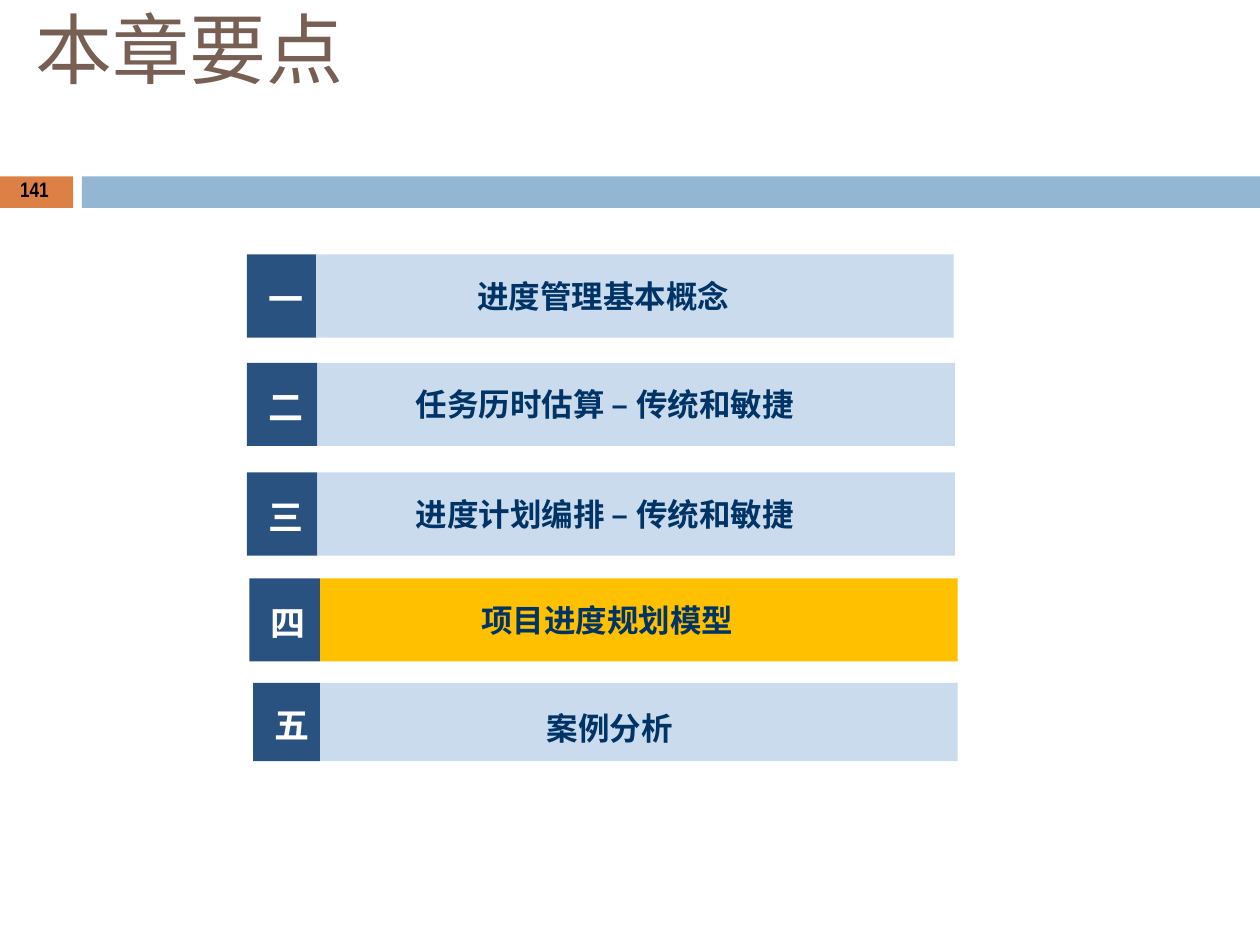
from dataclasses import dataclass

from lxml import etree
from pptx import Presentation, util as u
from pptx.dml.color import RGBColor
from pptx.enum import shapes, text
from pptx.oxml.ns import qn

COLOURS = {
    "orange": "DD8046", "blue": "93B6D2", "brown": "775F54", "black": "000000",
    "navy": "2A5280", "pale": "C9DBED", "gold": "FFC000", "ink": "003366", "white": "FFFFFF",
}
CJK = "Noto Sans CJK SC"


@dataclass
class Topic:
    number: str
    title: str
    left: float
    top: float
    split: float
    fill: str = "pale"
    height: float = 0.66
    number_inset: float = 0.18
    title_inset: float = 0.18
    right_inset: float = 0.5


@dataclass
class Style:
    size: int
    colour: str
    bold: bool = True
    font: str = CJK
    align: text.PP_ALIGN = text.PP_ALIGN.LEFT


BAR_WIDTH = 5.06
TITLE = Style(44, "brown", bold=False)
PAGE_NUMBER = Style(12, "black", font="Arial Narrow")
NUMBER = Style(20, "white")
TOPIC = Style(18, "ink", align=text.PP_ALIGN.CENTER)
TOPICS = [
    Topic("一", "进度管理基本概念", 1.96, 2.02, 2.51),
    Topic("二", "任务历时估算 – 传统和敏捷", 1.96, 2.88, 2.52),
    Topic("三", "进度计划编排 – 传统和敏捷", 1.96, 3.75, 2.52),
    Topic("四", "项目进度规划模型", 1.98, 4.59, 2.54, fill="gold"),
    Topic("五", "案例分析", 2.01, 5.42, 2.54, height=0.62,
          number_inset=0.16, title_inset=0.21, right_inset=0.46),
]


def write(shape, words: str, style: Style, left: float = 0, top: float = 0.01, right: float = 0) -> None:
    """Fill a shape with one styled paragraph."""
    frame = shape.text_frame
    frame.word_wrap = True
    frame.vertical_anchor = text.MSO_ANCHOR.TOP
    frame.margin_left, frame.margin_top = u.Inches(left), u.Inches(top)
    frame.margin_right, frame.margin_bottom = u.Inches(right), 0
    para = frame.paragraphs[0]
    para.text = words
    para.alignment = style.align
    font = para.font
    font.size, font.bold, font.name = u.Pt(style.size), style.bold, style.font
    font.color.rgb = RGBColor.from_string(COLOURS[style.colour])
    defaults = para._p.pPr.find(qn("a:defRPr"))
    etree.SubElement(defaults, qn("a:ea")).set("typeface", style.font)


def add_bar(page, left: float, top: float, width: float, height: float, fill: str):
    """Draw a plain filled rectangle."""
    bar = page.shapes.add_shape(
        shapes.MSO_SHAPE.RECTANGLE, u.Inches(left), u.Inches(top), u.Inches(width), u.Inches(height))
    bar.shadow.inherit = False
    bar.fill.solid()
    bar.fill.fore_color.rgb = RGBColor.from_string(COLOURS[fill])
    bar.line.fill.background()
    return bar


def add_label(page, left: float, top: float, width: float, height: float, words: str, style: Style) -> None:
    """Place a text box."""
    box = page.shapes.add_textbox(u.Inches(left), u.Inches(top), u.Inches(width), u.Inches(height))
    write(box, words, style)


def add_topic(page, topic: Topic) -> None:
    """Draw a numbered topic row."""
    badge = add_bar(page, topic.left, topic.top, topic.split - topic.left, topic.height, "navy")
    write(badge, topic.number, NUMBER, left=0.17, top=topic.number_inset)
    bar = add_bar(page, topic.split, topic.top, BAR_WIDTH, topic.height, topic.fill)
    write(bar, topic.title, TOPIC, top=topic.title_inset, right=topic.right_inset)


def main() -> None:
    """Build the chapter outline slide."""
    deck = Presentation()
    deck.slide_width, deck.slide_height = u.Inches(10), u.Inches(7.5)
    page = deck.slides.add_slide(deck.slide_layouts[6])
    add_bar(page, 0, 1.4, 0.58, 0.25, "orange")
    add_bar(page, 0.65, 1.4, 9.35, 0.25, "blue")
    add_label(page, 0.28, 0, 2.48, 0.76, "本章要点", TITLE)
    add_label(page, 0.16, 1.39, 0.26, 0.23, "141", PAGE_NUMBER)
    for topic in TOPICS:
        add_topic(page, topic)
    deck.save("out.pptx")


if __name__ == "__main__":
    main()
